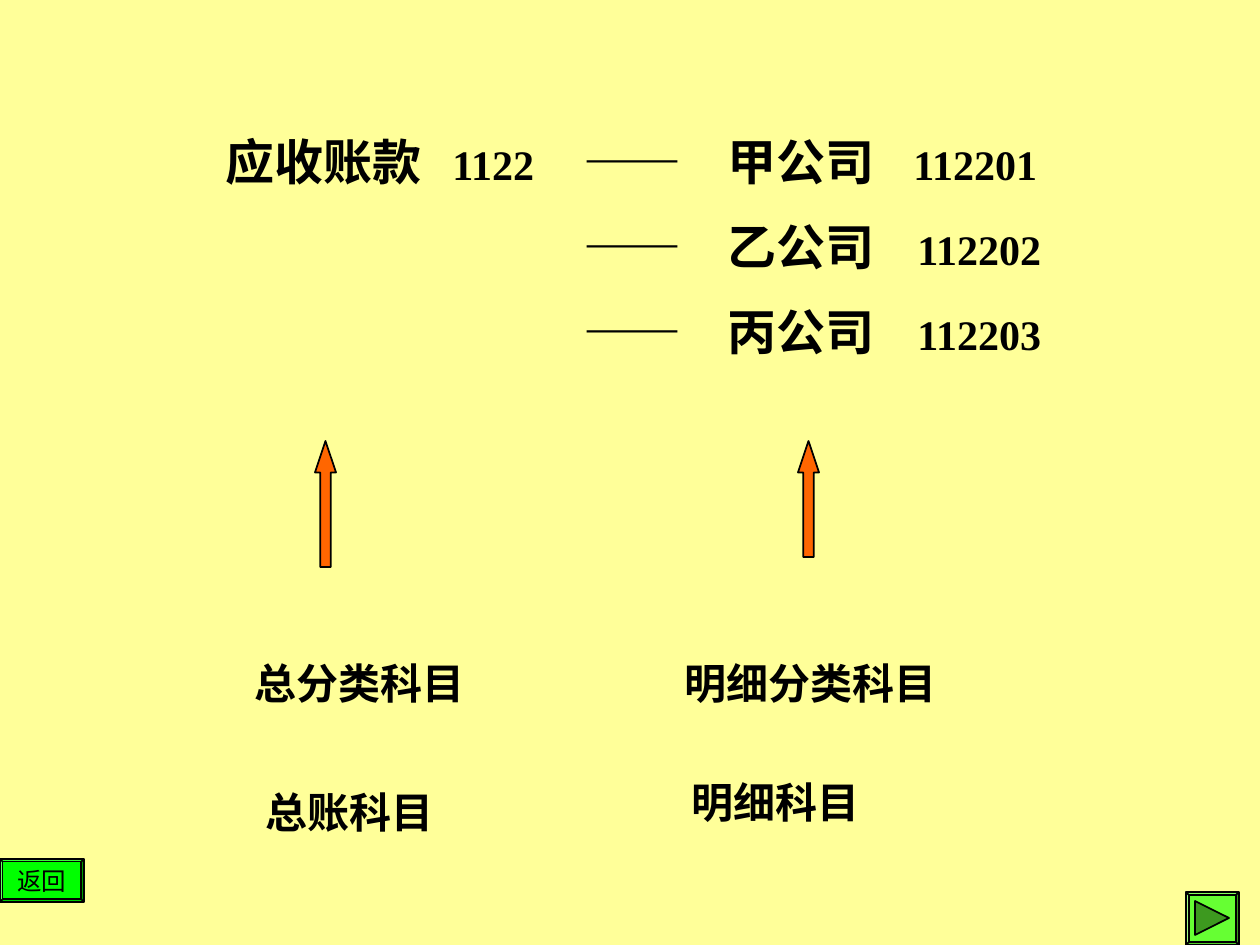
from lxml import etree
from pptx import Presentation
from pptx.dml.color import RGBColor
from pptx.enum.shapes import MSO_SHAPE
from pptx.enum.text import MSO_ANCHOR, MSO_AUTO_SIZE, PP_ALIGN
from pptx.oxml.ns import qn
from pptx.util import Pt

ARROW = MSO_SHAPE.UP_ARROW
BEVEL = MSO_SHAPE.BEVEL
PLAY = MSO_SHAPE.ISOSCELES_TRIANGLE
FIT = MSO_AUTO_SIZE.SHAPE_TO_FIT_TEXT
MIDDLE = MSO_ANCHOR.MIDDLE
CENTER = PP_ALIGN.CENTER

FACE = "Times New Roman"
BLACK = "000000"

LABELS = [
    ("总分类科目", (242, 651, 325, 63)),
    ("明细分类科目", (672, 651, 410, 63)),
    ("总账科目", (253, 780, 325, 63)),
    ("明细科目", (679, 770, 410, 63)),
]
LEDGER = (213, 125, 417, 72), [((227,), [("应收账款", 28), ("1122", 24)])]
DETAIL = (571, 125, 605, 242), [
    ((144, 330), [("——", 28), ("甲公司", 28), ("112201", 24)]),
    ((144, 334), [("——", 28), ("乙公司", 28), ("112202", 24)]),
    ((144, 334), [("——", 28), ("丙公司", 28), ("112203", 24)]),
]
ARROWS = [(315, 441, 21, 126), (798, 441, 21, 116)]
BACK = (0, 859, 84, 43)
NEXT = (1186, 892, 53, 53)


def px(n):
    return round(n * 914400 / 126)


def color(text):
    return RGBColor.from_string(text)


def style(para, size=None, bold=True):
    font = para.font
    font.name, font.bold = FACE, bold
    font.color.rgb = color(BLACK)
    if size:
        font.size = Pt(size)


def add_box(slide, place):
    frame = slide.shapes.add_textbox(*map(px, place)).text_frame
    frame.word_wrap = True
    frame.auto_size = FIT
    return frame


def add_label(slide, text, place):
    para = add_box(slide, place).paragraphs[0]
    para.text = text
    style(para, 24)


def add_rows(slide, place, rows):
    frame = add_box(slide, place)
    for i, (stops, parts) in enumerate(rows):
        para = frame.add_paragraph() if i else frame.paragraphs[0]
        if i:
            para.space_before = Pt(15)
        tabs = etree.SubElement(para._p.get_or_add_pPr(), qn("a:tabLst"))
        for stop in stops:
            etree.SubElement(tabs, qn("a:tab"), pos=str(px(stop)), algn="l")
        style(para)
        for j, (text, size) in enumerate(parts):
            run = para.add_run()
            run.text = "\t" + text if j else text
            run.font.size = Pt(size)


def add_form(slide, kind, place, fill, *adjust):
    shape = slide.shapes.add_shape(kind, *map(px, place))
    shape.shadow.inherit = False
    shape.fill.solid()
    shape.fill.fore_color.rgb = color(fill)
    shape.line.color.rgb = color(BLACK)
    shape.line.width = Pt(1)
    for i, value in enumerate(adjust):
        shape.adjustments[i] = value
    return shape


def main():
    deck = Presentation()
    deck.slide_width, deck.slide_height = px(1260), px(945)
    slide = deck.slides.add_slide(deck.slide_layouts[6])
    slide.background.fill.solid()
    slide.background.fill.fore_color.rgb = color("FFFF99")

    for place, rows in (LEDGER, DETAIL):
        add_rows(slide, place, rows)
    for place in ARROWS:
        add_form(slide, ARROW, place, "FF6600", 0.5, 1.5)
    for text, place in LABELS:
        add_label(slide, text, place)

    add_form(slide, BEVEL, NEXT, "66FF33", 0.06)
    left, top, wide, high = NEXT
    mark = 34
    place = (left + (wide - mark) // 2, top + (high - mark) // 2, mark, mark)
    add_form(slide, PLAY, place, "3D991F").rotation = 90

    frame = add_form(slide, BEVEL, BACK, "00FF00", 0.06).text_frame
    frame.word_wrap = False
    frame.vertical_anchor = MIDDLE
    para = frame.paragraphs[0]
    para.text = "返回"
    para.alignment = CENTER
    style(para, 14, False)

    deck.save("out.pptx")


if __name__ == "__main__":
    main()
